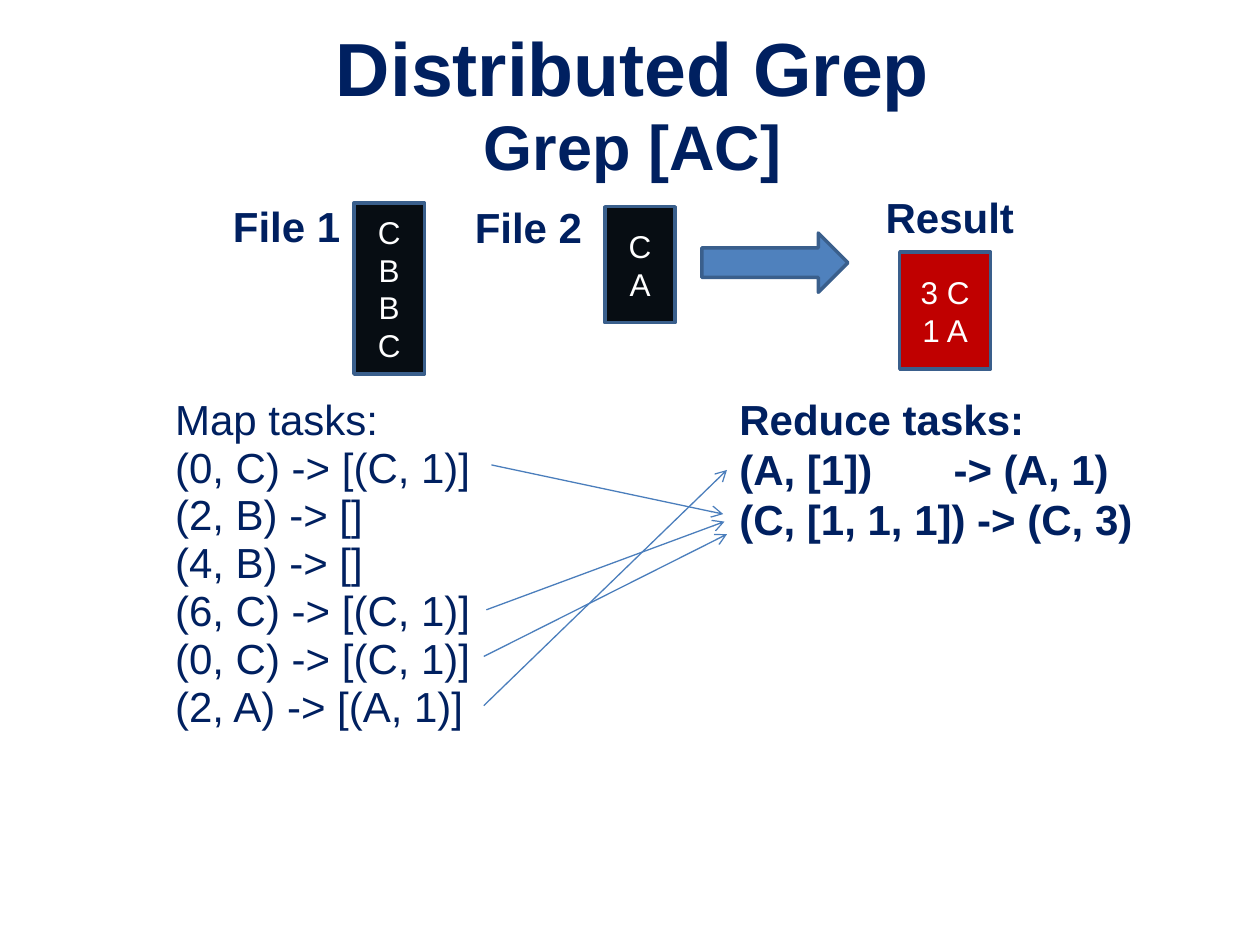
import pptx
import pptx.util
import pptx.dml.color
import pptx.enum.shapes
import pptx.enum.text
import pptx.oxml.ns
from lxml import etree

# Grid of 100 columns by 75 rows; a box is (column, row, columns, rows)
COLUMNS, ROWS = 100, 75
CELL = pptx.util.Inches(10) // COLUMNS
NAVY, BLACK, RED, WHITE = "002060", "070D13", "C00000", "FFFFFF"
BLUE, EDGE, LINK = "4F81BD", "3A5F8C", "4B7EBC"
ALIGN = pptx.enum.text.PP_ALIGN
ANCHOR = pptx.enum.text.MSO_ANCHOR
SHAPE = pptx.enum.shapes.MSO_SHAPE


def colour(value):
    return pptx.dml.color.RGBColor.from_string(value)


def cells(*counts):
    return [round(count * CELL) for count in counts]


def inside(region, column, row, width, height):
    return region[0] + column, region[1] + row, width, height


def add_xml(parent, tag, **attributes):
    return etree.SubElement(parent, pptx.oxml.ns.qn(tag), attributes)


def write(frame, lines, size=24, ink=NAVY, bold=False, align=ALIGN.LEFT,
          spacing=None, tab=None):
    """Write one paragraph per line; size is one number or one per line."""
    sizes = size if isinstance(size, list) else [size] * len(lines)
    for index, (line, points) in enumerate(zip(lines, sizes)):
        para = frame.paragraphs[0] if index == 0 else frame.add_paragraph()
        if tab and "\t" in line:
            stops = add_xml(para._p.get_or_add_pPr(), "a:tabLst")
            add_xml(stops, "a:tab", pos=str(cells(tab)[0]), algn="l")
        para.alignment = align
        if spacing:
            para.line_spacing = spacing
        span = para.add_run()
        span.text = line
        span.font.name = "Arial"
        span.font.size = pptx.util.Pt(points)
        span.font.bold = bold
        span.font.color.rgb = colour(ink)


def clear_insets(frame):
    frame.margin_left = frame.margin_right = 0
    frame.margin_top = frame.margin_bottom = 0


def add_text(page, box, lines, wrap=True, insets=True, **style):
    frame = page.shapes.add_textbox(*cells(*box)).text_frame
    frame.word_wrap = wrap
    if not insets:
        clear_insets(frame)
    write(frame, lines, **style)


def add_block(page, kind, box, fill, lines=()):
    block = page.shapes.add_shape(kind, *cells(*box))
    block.shadow.inherit = False
    block.fill.solid()
    block.fill.fore_color.rgb = colour(fill)
    block.line.color.rgb = colour(EDGE)
    block.line.width = pptx.util.Pt(2)
    block.text_frame.vertical_anchor = ANCHOR.MIDDLE
    write(block.text_frame, lines, 18, WHITE, align=ALIGN.CENTER)


def add_arrow(page, start, end):
    arrow = page.shapes.add_connector(
        pptx.enum.shapes.MSO_CONNECTOR.STRAIGHT, *cells(*start, *end))
    arrow.line.color.rgb = colour(LINK)
    arrow.line.width = pptx.util.Pt(0.75)
    add_xml(arrow.line._get_or_add_ln(), "a:tailEnd", type="arrow")
    add_xml(arrow._element.spPr, "a:effectLst")


def build_title(page, box):
    title = page.shapes.title
    title.left, title.top, title.width, title.height = cells(*box)
    frame = title.text_frame
    frame.word_wrap = True
    frame.auto_size = pptx.enum.text.MSO_AUTO_SIZE.NONE
    frame.vertical_anchor = ANCHOR.TOP
    clear_insets(frame)
    write(frame, ["Distributed Grep", "Grep [AC]"], [43, 36], bold=True,
          align=ALIGN.CENTER, spacing=0.95)


def build_files(page, region):
    # Each file: label place, block box, fill, and contents
    files = [
        ("File 1", (0, 0.7), (10.6, 1.4, 5.6, 13.6), BLACK, "CBBC"),
        ("File 2", (19.2, 0.8), (30.5, 1.7, 5.6, 9.2), BLACK, "CA"),
        ("Result", (51.8, 0), (53.9, 5.3, 7.2, 9.3), RED, ["3 C", "1 A"]),
    ]
    for label, place, block, fill, lines in files:
        add_block(page, SHAPE.RECTANGLE, inside(region, *block), fill, lines)
        add_text(page, inside(region, *place, 12.2, 5.1), [label],
                 wrap=False, bold=True)
    add_block(page, SHAPE.RIGHT_ARROW,
              inside(region, 38.2, 3.8, 11.6, 4.7), BLUE)


def build_tasks(page, region):
    add_text(page, inside(region, 0, 0.8, 27.4, 30.2), [
        "Map tasks:",
        "(0, C) -> [(C, 1)]",
        "(2, B) -> []",
        "(4, B) -> []",
        "(6, C) -> [(C, 1)]",
        "(0, C) -> [(C, 1)]",
        "(2, A) -> [(A, 1)]",
    ], insets=False, spacing=0.95)
    add_text(page, inside(region, 43.8, 0, 36.3, 13.1), [
        "Reduce tasks:",
        "(A, [1])\t-> (A, 1)",
        "(C, [1, 1, 1]) -> (C, 3)",
    ], bold=True, tab=17)

    # Links from the map results to the reduce inputs
    links = [
        (25.1, 6.2, 43.5, 10.1),
        (24.7, 17.7, 43.6, 10.7),
        (24.5, 21.4, 43.8, 11.7),
        (24.5, 25.3, 43.8, 6.6),
    ]
    left, top = region[:2]
    for x1, y1, x2, y2 in links:
        add_arrow(page, (left + x1, top + y1), (left + x2, top + y2))


def main():
    deck = pptx.Presentation()
    deck.slide_width, deck.slide_height = COLUMNS * CELL, ROWS * CELL
    page = deck.slides.add_slide(deck.slide_layouts.get_by_name("Title Only"))
    page.background.fill.solid()
    page.background.fill.fore_color.rgb = colour(WHITE)
    build_title(page, (8.6, 2.2, 83.2, 6.8))
    build_files(page, (17.5, 14.7, 64, 15))
    build_tasks(page, (13.9, 30.7, 80.1, 31))
    deck.save("out.pptx")


if __name__ == "__main__":
    main()
